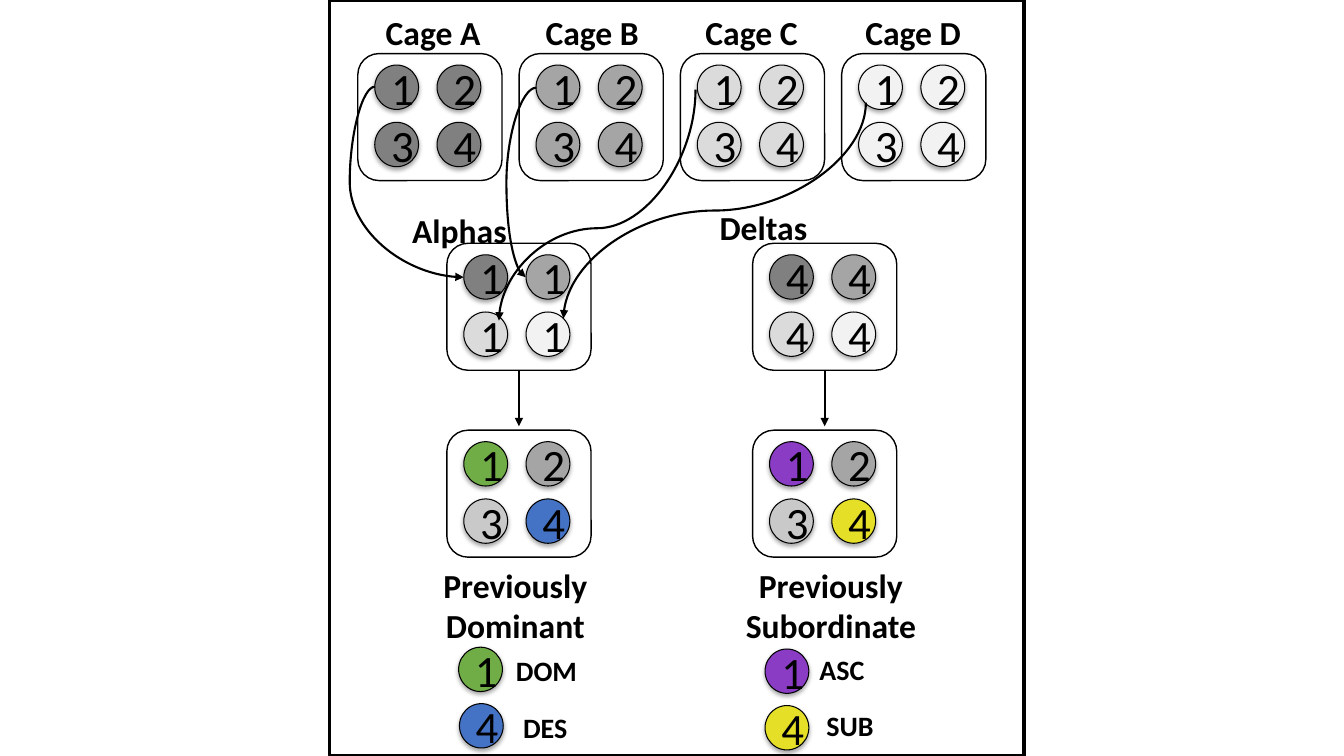
from dataclasses import dataclass

from lxml import etree
from pptx import Presentation
from pptx.dml.color import RGBColor
from pptx.enum.shapes import MSO_CONNECTOR, MSO_SHAPE
from pptx.enum.text import MSO_ANCHOR, MSO_AUTO_SIZE, PP_ALIGN
from pptx.oxml.ns import qn
from pptx.util import Pt

ROUNDED, OVAL, RECTANGLE = MSO_SHAPE.ROUNDED_RECTANGLE, MSO_SHAPE.OVAL, MSO_SHAPE.RECTANGLE
STRAIGHT, CURVE = MSO_CONNECTOR.STRAIGHT, MSO_CONNECTOR.CURVE
LEFT, CENTER = PP_ALIGN.LEFT, PP_ALIGN.CENTER
MIDDLE, GROW = MSO_ANCHOR.MIDDLE, MSO_AUTO_SIZE.SHAPE_TO_FIT_TEXT
BOTTOM_SITE = 2


@dataclass(frozen=True)
class Theme:
    font: str = "Calibri"
    black: RGBColor = RGBColor.from_string("000000")
    white: RGBColor = RGBColor.from_string("FFFFFF")
    cage_a: RGBColor = RGBColor.from_string("808080")
    cage_b: RGBColor = RGBColor.from_string("A5A5A5")
    cage_c: RGBColor = RGBColor.from_string("DBDBDB")
    cage_d: RGBColor = RGBColor.from_string("F2F2F2")
    third: RGBColor = RGBColor.from_string("C9C9C9")
    dom: RGBColor = RGBColor.from_string("70AD47")
    des: RGBColor = RGBColor.from_string("4472C4")
    asc: RGBColor = RGBColor.from_string("8A3CC4")
    sub: RGBColor = RGBColor.from_string("E5E027")
    rank_size: int = 32
    heading_size: int = 24
    legend_size: int = 20


theme = Theme()
deck = Presentation()
deck.slide_width, deck.slide_height = Pt(960), Pt(540)
page = deck.slides.add_slide(deck.slide_layouts[6])
shapes = page.shapes


def write_text(frame, text, size=theme.heading_size, bold=True, align=LEFT):
    for index, line in enumerate(text.split("\n")):
        para = frame.paragraphs[0] if index == 0 else frame.add_paragraph()
        para.alignment = align
        span = para.add_run()
        span.text = line
        span.font.name = theme.font
        span.font.size = Pt(size)
        span.font.bold = bold
        span.font.color.rgb = theme.black


def add_mouse(left, top, rank, color):
    mouse = shapes.add_shape(OVAL, Pt(left), Pt(top), Pt(31.3), Pt(31.7))
    mouse.fill.solid()
    mouse.fill.fore_color.rgb = color
    mouse.line.color.rgb = theme.black
    mouse.line.width = Pt(0.75)
    mouse.text_frame.vertical_anchor = MIDDLE
    write_text(mouse.text_frame, rank, size=theme.rank_size, bold=False, align=CENTER)


cage_colors = [theme.cage_a, theme.cage_b, theme.cage_c, theme.cage_d]
cages = [(255.6 + 115.2 * index, 38.3, "1234", [color] * 4)
         for index, color in enumerate(cage_colors)]
alphas_left, deltas_left = 319.2, 537.6
cages += [
    (alphas_left, 173.8, "1111", cage_colors),
    (deltas_left, 173.8, "4444", cage_colors),
    (alphas_left, 307.3, "1234", [theme.dom, theme.cage_b, theme.third, theme.des]),
    (deltas_left, 307.3, "1234", [theme.asc, theme.cage_b, theme.third, theme.sub]),
]
boxes = []
for left, top, ranks, colors in cages:
    box = shapes.add_shape(ROUNDED, Pt(left), Pt(top), Pt(103), Pt(90.7))
    box.shadow.inherit = False
    box.fill.solid()
    box.fill.fore_color.rgb = theme.white
    box.line.color.rgb = theme.black
    box.line.width = Pt(1)
    boxes.append(box)
    for index, (rank, color) in enumerate(zip(ranks, colors)):
        row, column = divmod(index, 2)
        add_mouse(left + 12.1 + 44.5 * column, top + 8.2 + 40.9 * row, rank, color)

for left, top, rank, color in [
    (327.6, 462.3, "1", theme.dom),
    (328.2, 502.6, "4", theme.des),
    (546.5, 463.6, "1", theme.asc),
    (546.5, 504, "4", theme.sub),
]:
    add_mouse(left, top, rank, color)

heading, legend = theme.heading_size, theme.legend_size
labels = [(268.4 + 114.2 * index, 5, 82.8, 36, f"Cage {letter}", heading, LEFT)
          for index, letter in enumerate("ABCD")]
labels += [
    (287.3, 146.2, 82.8, 36, "Alphas", heading, LEFT),
    (506.9, 144, 77.8, 36, "Deltas", heading, LEFT),
    (308.9, 399.6, 123.8, 65.5, "Previously \nDominant ", heading, CENTER),
    (524.9, 399.6, 142.6, 65.5, "Previously \nSubordinate ", heading, CENTER),
    (361.4, 463, 58.3, 31.7, "DOM", legend, LEFT),
    (366.5, 504, 46.8, 31.7, "DES", legend, LEFT),
    (578.2, 462.3, 46.8, 31.7, "ASC", legend, LEFT),
    (583.2, 502.6, 49, 31.7, "SUB", legend, LEFT),
]
for left, top, width, height, text, size, align in labels:
    label = shapes.add_textbox(Pt(left), Pt(top), Pt(width), Pt(height))
    label.text_frame.word_wrap = False
    label.text_frame.auto_size = GROW
    write_text(label.text_frame, text, size=size, align=align)

arrows = []
for start_x, start_y, end_x, end_y, bend, turned in [
    (267.8, 61.9, 331.2, 198, -0.284, False),
    (383.2, 62.6, 375.6, 198, 2.819, False),
    (496.8, 64.1, 356.4, 229, 0.6, True),
    (618.5, 73.4, 402.5, 227.5, 0.5, True),
]:
    if turned:
        middle_x, middle_y = (start_x + end_x) / 2, (start_y + end_y) / 2
        half_width, half_height = (end_y - start_y) / 2, (start_x - end_x) / 2
        start_x, end_x = middle_x - half_width, middle_x + half_width
        start_y, end_y = middle_y - half_height, middle_y + half_height
    arrow = shapes.add_connector(CURVE, Pt(start_x), Pt(start_y), Pt(end_x), Pt(end_y))
    properties = arrow._element.spPr
    if turned:
        properties.find(qn("a:xfrm")).set("rot", str(90 * 60000))
    guides = properties.find(qn("a:prstGeom")).find(qn("a:avLst"))
    etree.SubElement(guides, qn("a:gd"), name="adj1", fmla=f"val {round(bend * 100000)}")
    arrows.append(arrow)

for box in boxes[4:6]:
    middle, bottom = box.left + box.width // 2, box.top + box.height
    arrow = shapes.add_connector(STRAIGHT, middle, bottom, middle, bottom + Pt(40))
    arrow.begin_connect(box, BOTTOM_SITE)
    arrows.append(arrow)

for arrow in arrows:
    arrow.line.color.rgb = theme.black
    arrow.line.width = Pt(1.5)
    properties = arrow._element.spPr
    etree.SubElement(properties.find(qn("a:ln")), qn("a:tailEnd"), type="triangle")
    etree.SubElement(properties, qn("a:effectLst"))

border = shapes.add_shape(RECTANGLE, Pt(235.4), Pt(0), Pt(496.1), Pt(540))
border.shadow.inherit = False
border.fill.background()
border.line.color.rgb = theme.black
border.line.width = Pt(2.25)

deck.save("out.pptx")
